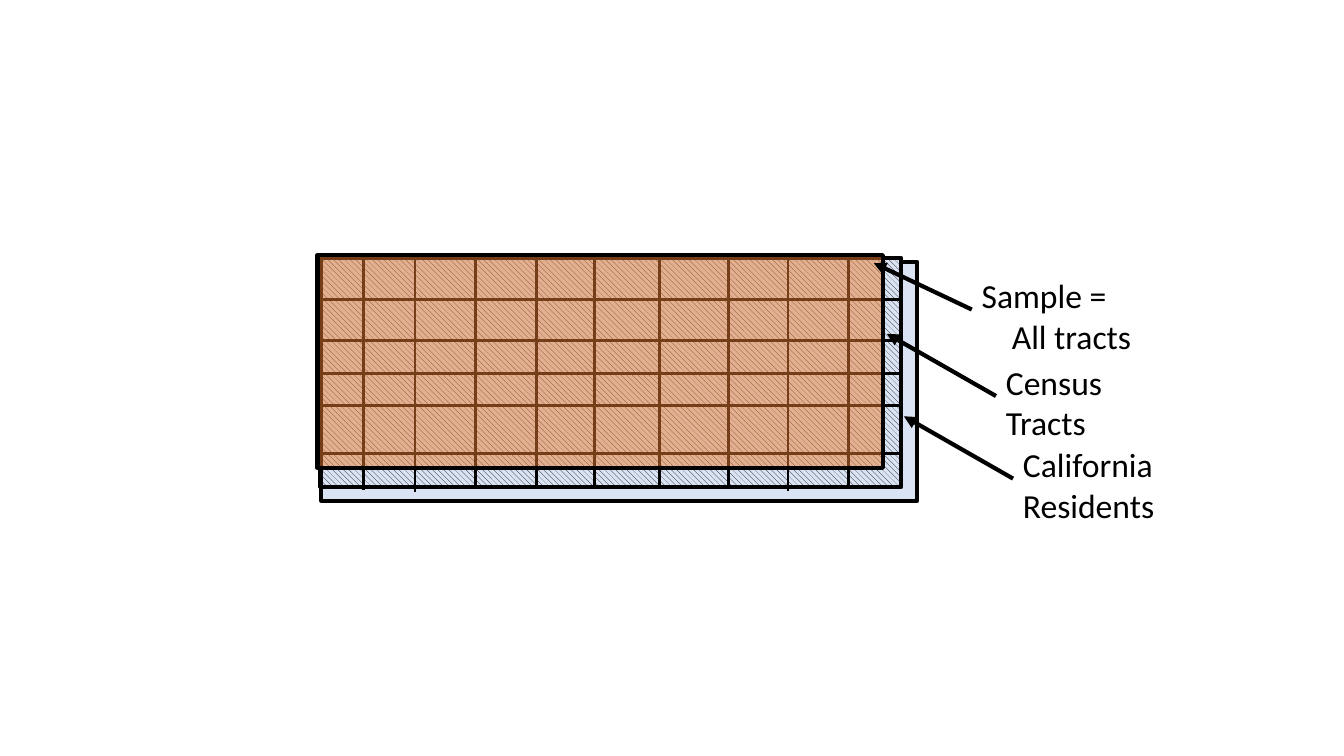
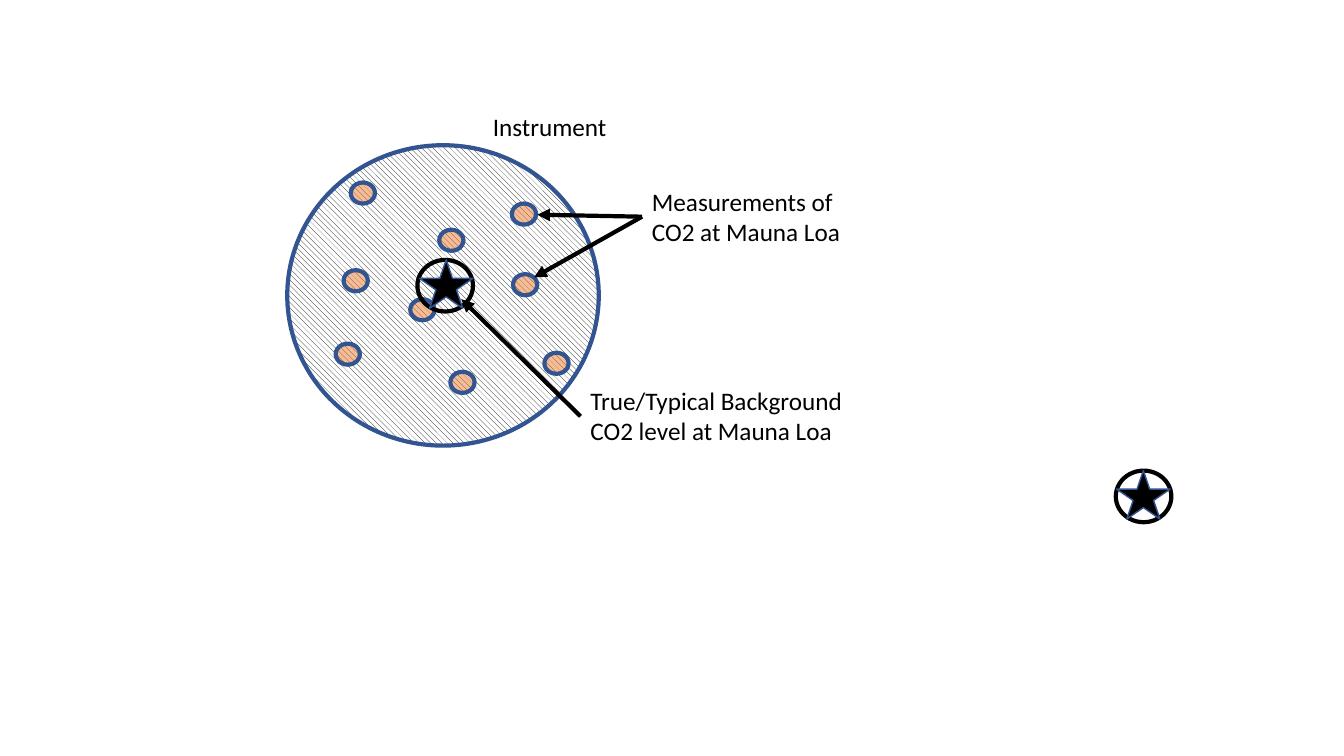
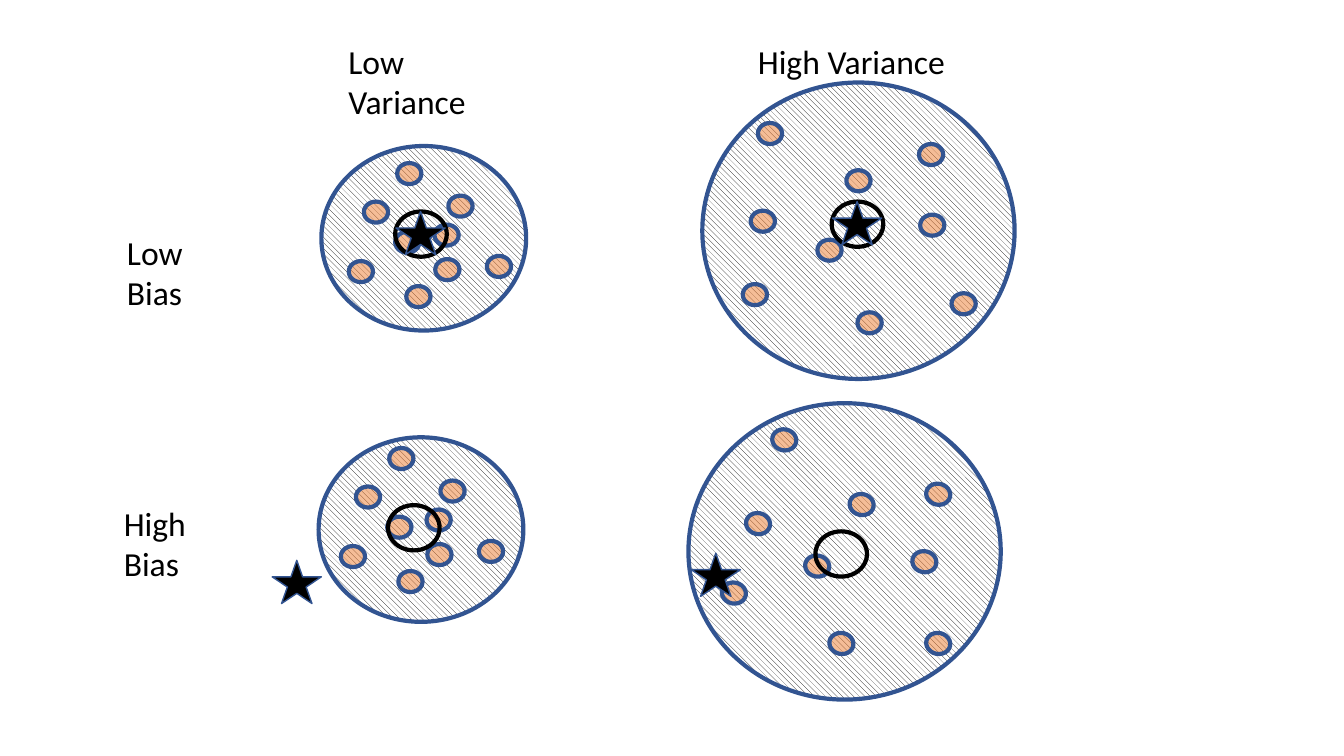
"""Three diagrams on sampling frames, measurement accuracy, and bias versus variance."""
import pptx
import pptx.util
import pptx.dml.color
import pptx.enum.dml
import pptx.enum.shapes
import pptx.oxml.ns
from lxml import etree

Cm, Pt = pptx.util.Cm, pptx.util.Pt
RGB = pptx.dml.color.RGBColor.from_string
PRESET = pptx.enum.shapes.MSO_SHAPE
STRAIGHT = pptx.enum.shapes.MSO_CONNECTOR.STRAIGHT
HATCH = pptx.enum.dml.MSO_PATTERN.WIDE_DOWNWARD_DIAGONAL
qn = pptx.oxml.ns.qn
COLORS = {"ink": "000000", "paper": "FFFFFF", "pale": "DAE3F3", "orange": "ED7D31", "blue": "325491"}
FONT = "Calibri"


def add_figure(slide, preset, box, line, width=3, fill=None, style="solid"):
    figure = slide.shapes.add_shape(preset, *[Cm(length) for length in box])
    figure.shadow.inherit = False
    figure.line.color.rgb = RGB(COLORS[line])
    figure.line.width = Pt(width)
    if fill is None:
        figure.fill.background()
    elif style == "hatched":
        figure.fill.patterned()
        figure.fill.pattern = HATCH
        figure.fill.fore_color.rgb = RGB(COLORS["ink"])
        figure.fill.back_color.rgb = RGB(COLORS[fill])
    else:
        figure.fill.solid()
        figure.fill.fore_color.rgb = RGB(COLORS[fill])
        if style == "translucent":
            tint = figure.fill._xPr.find(".//" + qn("a:srgbClr"))
            etree.SubElement(tint, qn("a:alpha"), val="50000")
    return figure


def add_rule(slide, start, end, width=3, arrow=True):
    rule = slide.shapes.add_connector(STRAIGHT, *[Cm(length) for length in (*start, *end)])
    rule.line.color.rgb = RGB(COLORS["ink"])
    rule.line.width = Pt(width)
    if arrow:
        etree.SubElement(rule.line._get_or_add_ln(), qn("a:tailEnd"), type="triangle")
    etree.SubElement(rule._element.spPr, qn("a:effectLst"))


deck = pptx.Presentation()
deck.slide_width, deck.slide_height = Cm(33.87), Cm(19.05)
sampling, accuracy, tradeoff = [deck.slides.add_slide(deck.slide_layouts[6]) for _ in range(3)]

add_figure(sampling, PRESET.RECTANGLE, (8.1, 6.6, 15.01, 6.02), "ink", fill="pale")
add_figure(sampling, PRESET.RECTANGLE, (8.08, 6.5, 14.63, 5.77), "ink", fill="pale", style="hatched")
for left, y in [(8.08, 7.54), (8.15, 8.59), (8.13, 9.42), (8.15, 10.21), (8.05, 11.43)]:
    add_rule(sampling, (left, y), (left + 14.61, y), 2, arrow=False)
for x, top in [(9.17, 6.48), (10.46, 6.53), (11.99, 6.43), (13.51, 6.45), (14.99, 6.45),
               (16.61, 6.43), (18.36, 6.4), (19.86, 6.5), (21.39, 6.4)]:
    add_rule(sampling, (x, top), (x, top + 5.87), 2, arrow=False)
add_figure(sampling, PRESET.RECTANGLE, (8, 6.43, 14.25, 5.36), "ink", fill="orange", style="translucent")

wide = [(13.72, 8.89), (8.66, 6.81), (10.34, 7.54), (11.35, 9.37), (12.93, 6.91),
        (8.84, 4.6), (11.07, 5.79), (8.46, 8.66), (12.9, 5.13)]
narrow = [(9.17, 5.08), (8.79, 6.58), (9.96, 5.84), (10.24, 7.21), (10.95, 5.66),
          (12.27, 6.45), (10.01, 4.11), (10.97, 6.53), (11.3, 4.93)]
tilted = [(20.29, 14), (23.34, 15.95), (18.8, 12.93), (20.9, 15.95), (22.99, 13.89),
          (19.46, 10.82), (21.41, 12.45), (18.19, 14.68), (23.34, 12.19)]
clusters = [
    (accuracy, (7.24, 3.66, 7.85, 7.57), wide, 0, 0, 0),
    (tradeoff, (17.7, 2.08, 7.87, 7.47), wide, 10.26, -1.5, 0),
    (tradeoff, (17.35, 10.16, 7.87, 7.47), tilted, 0, 0, 12.1),
    (tradeoff, (8.1, 3.68, 5.16, 4.65), narrow, 0, 0, 0),
    (tradeoff, (8.03, 11.02, 5.16, 4.65), narrow, -0.2, 7.18, 0),
]
for slide, spread, measurements, shift_x, shift_y, tilt in clusters:
    add_figure(slide, PRESET.OVAL, spread, "blue", fill="paper", style="hatched")
    for x, y in measurements:
        measurement = add_figure(slide, PRESET.OVAL, (x + shift_x, y + shift_y, 0.61, 0.53), "blue",
                                 fill="orange", style="translucent")
        measurement.rotation = tilt

arrows = [
    (sampling, (24.49, 7.8), (22.02, 6.63)),
    (sampling, (25.1, 9.98), (22.35, 8.41)),
    (sampling, (25.53, 12.06), (22.78, 10.49)),
    (accuracy, (16.18, 5.46), (13.54, 5.41)),
    (accuracy, (16.18, 5.46), (13.46, 6.99)),
    (accuracy, (14.63, 10.49), (11.63, 7.54)),
]
for slide, start, end in arrows:
    add_rule(slide, start, end)

targets = [
    (accuracy, (10.52, 6.55), (10.57, 6.55), (1.4, 1.3), (1.35, 1.22)),
    (accuracy, (28.12, 11.86), (28.14, 11.86), (1.4, 1.3), (1.35, 1.22)),
    (tradeoff, (9.96, 5.33), (9.98, 5.33), (1.3, 1.14), (1.24, 1.09)),
    (tradeoff, (20.96, 5.08), (20.98, 5.08), (1.3, 1.14), (1.24, 1.09)),
    (tradeoff, (9.78, 12.73), (6.86, 14.12), (1.3, 1.14), (1.24, 1.09)),
    (tradeoff, (20.55, 13.39), (17.42, 13.94), (1.3, 1.14), (1.24, 1.09)),
]
for slide, average_at, truth_at, average_size, truth_size in targets:
    add_figure(slide, PRESET.OVAL, average_at + average_size, "ink")
    add_figure(slide, PRESET.STAR_5_POINT, truth_at + truth_size, "blue", 1, fill="ink")

labels = [
    (sampling, (24.49, 6.81, 4.72, 1.98), 24, "Sample =\nAll tracts"),
    (sampling, (25.1, 8.99, 3.3, 1.98), 24, "Census Tracts"),
    (sampling, (25.53, 11.07, 5.13, 1.98), 24, "California Residents"),
    (accuracy, (12.17, 2.69, 4.65, 1.02), 18, "Instrument"),
    (accuracy, (16.18, 4.57, 5.33, 1.8), 18, "Measurements of CO2 at Mauna Loa"),
    (accuracy, (14.63, 9.58, 6.88, 1.8), 18, "True/Typical Background CO2 level at Mauna Loa"),
    (tradeoff, (2.95, 5.72, 3.3, 1.14), 24, "Low Bias"),
    (tradeoff, (2.87, 12.55, 3.45, 1.14), 24, "High Bias"),
    (tradeoff, (8.53, 0.91, 4.8, 1.14), 24, "Low Variance"),
    (tradeoff, (18.85, 0.91, 6.15, 1.14), 24, "High Variance"),
]
for slide, box, size, wording in labels:
    frame = slide.shapes.add_textbox(*[Cm(length) for length in box]).text_frame
    frame.word_wrap = True
    frame.text = wording
    for position, paragraph in enumerate(frame.paragraphs):
        if position:
            paragraph._p.get_or_add_pPr().set("marL", str(Cm(0.76)))
        font = paragraph.runs[0].font
        font.name, font.size = FONT, Pt(size)
        font.color.rgb = RGB(COLORS["ink"])

deck.save("out.pptx")
